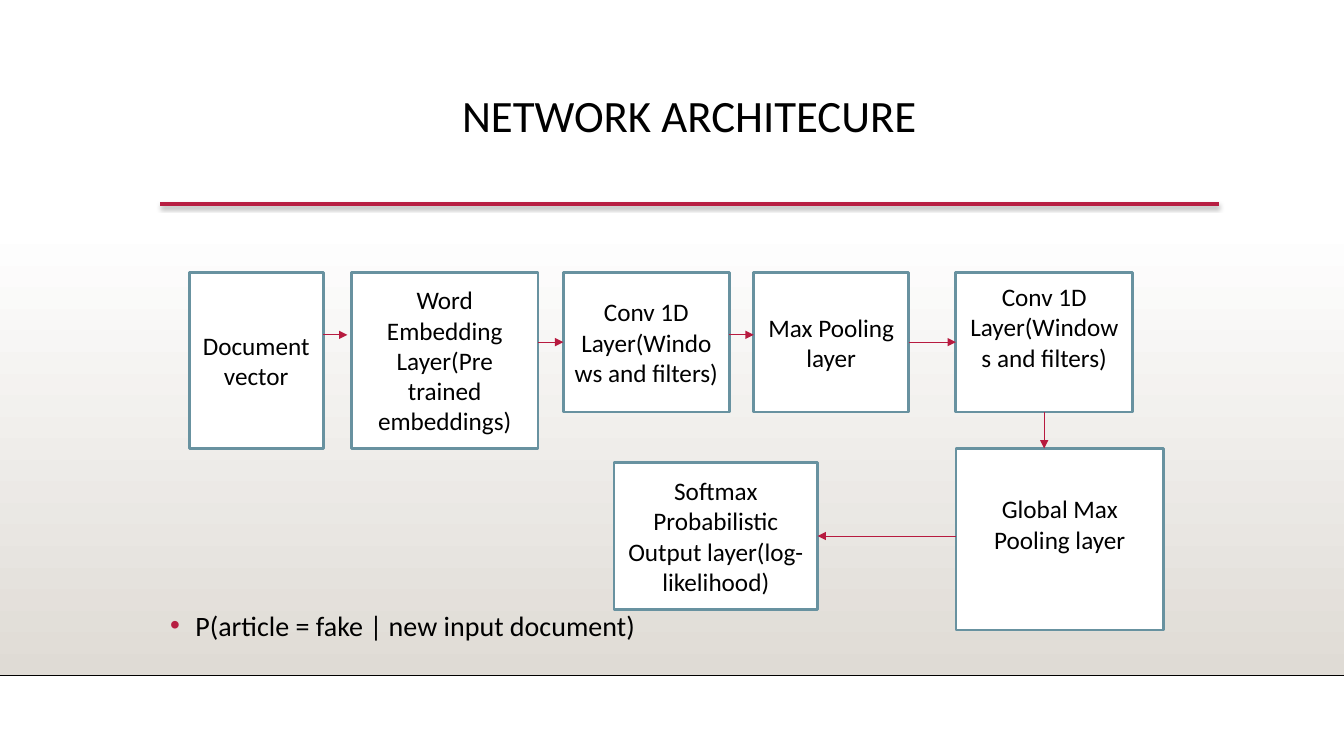
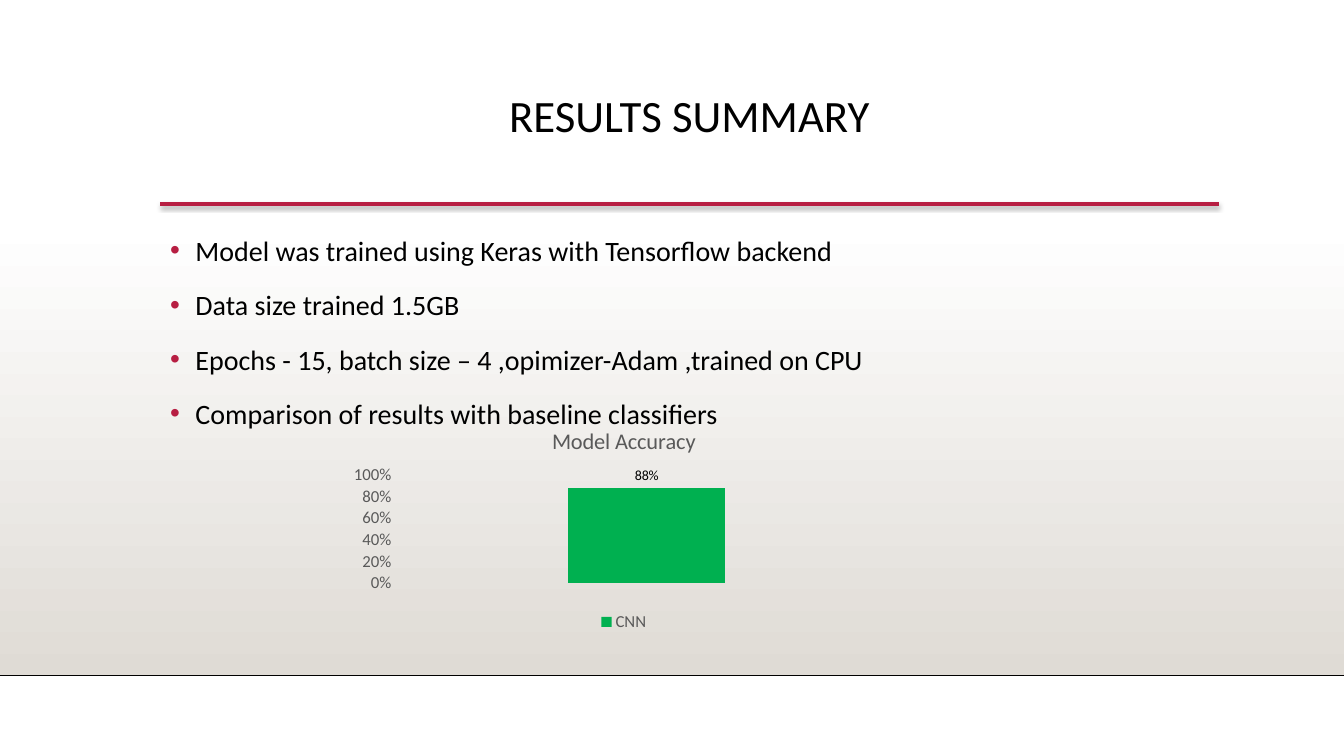
from lxml import etree
from pptx import Presentation
from pptx.chart.data import CategoryChartData
from pptx.dml.color import RGBColor
from pptx.enum import chart as charts, shapes, text
from pptx.oxml import ns
from pptx.util import Pt

# Shared style
COLORS = {"black": "000000", "white": "FFFFFF", "sand": "DFDBD5", "rule": "B71E42",
          "arrow": "B71A3F", "border": "6892A0", "gray": "595959", "bar": "00B050"}
FONT = "Calibri"
WIDTH, HEIGHT = 960, 540
LEFT, CONTENT_WIDTH = 114.5, 756
BAND_TOP, BAND_BOTTOM = 159, 482.4
RULE_Y = 145.6

# Slide 1: boxes are (text, left, top, width, height, extra bottom inset)
ROW = 194.4
BOXES = {
    "document": ("Document vector", 135.2, ROW, 95.6, 126, 0),
    "embedding": ("Word Embedding Layer(Pre trained embeddings)", 251, ROW, 133.4, 126, 0),
    "conv 1": ("Conv 1D Layer(Windows and filters)", 402.4, ROW, 118.6, 100, 0),
    "max pool": ("Max Pooling layer", 538.4, ROW, 110.6, 100, 0),
    "conv 2": ("Conv 1D Layer(Windows and filters)", 682.8, ROW, 126.2, 100, 22),
    "global pool": ("Global Max Pooling layer", 682.8, 320.4, 148.4, 129.6, 22),
    "softmax": ("Softmax Probabilistic Output layer(log-likelihood)", 438.6, 330.4, 145.4, 105, 0),
}
TOP, SIDE_LEFT, BOTTOM, SIDE_RIGHT = range(4)
# Arrows are (start, end, joined start, joined end)
ARROWS = [
    ((230.8, 239.2), (248.2, 239.2), None, None),
    ((384.4, 244.4), (402.4, 244.4), None, ("conv 1", SIDE_LEFT)),
    ((521, 239.2), (538.4, 239.2), None, None),
    ((649, 244.4), (682.8, 244.4), ("max pool", SIDE_RIGHT), ("conv 2", SIDE_LEFT)),
    ((745.9, 294.4), (745.9, 320.4), ("conv 2", BOTTOM), None),
    ((682.8, 382.9), (584, 382.9), None, ("softmax", SIDE_RIGHT)),
]
FORMULA = ["P(article = fake | new input document)"]

# Slide 2
FINDINGS = [
    "Model was trained using Keras with Tensorflow backend",
    "Data size trained 1.5GB",
    "Epochs - 15, batch size – 4 ,opimizer-Adam ,trained on CPU",
    "Comparison of results with baseline classifiers",
]
ACCURACY = {"title": "Model Accuracy", "series": "CNN", "categories": ["1"], "values": [0.88]}
PLOT_AREA = {"x": 0.105, "y": 0.279, "w": 0.869, "h": 0.485}


def rgb(name):
    return RGBColor.from_string(COLORS[name])


def add_xml(parent, tag, **attributes):
    element = etree.SubElement(parent, ns.qn(tag))
    for key, value in attributes.items():
        element.set(key, str(value))
    return element


def set_font(font, size, color):
    font.name, font.size = FONT, Pt(size)
    font.color.rgb = rgb(color)


def write(shape, lines, size=18, color="black", align="LEFT", anchor="TOP",
          spacing=None, before=None, bullet=False, extra_bottom=0):
    frame = shape.text_frame
    frame.word_wrap = True
    frame.vertical_anchor = getattr(text.MSO_ANCHOR, anchor)
    frame.margin_bottom = Pt(3.6 + extra_bottom)
    for index, line in enumerate(lines):
        paragraph = frame.add_paragraph() if index else frame.paragraphs[0]
        paragraph.alignment = getattr(text.PP_ALIGN, align)
        paragraph.line_spacing = spacing
        if before is not None:
            paragraph.space_before = Pt(before)
        run = paragraph.add_run()
        run.text = line
        set_font(run.font, size, color)
        if bullet:
            properties = paragraph._p.get_or_add_pPr()
            properties.set("marL", str(Pt(18)))
            properties.set("indent", str(Pt(-18)))
            add_xml(add_xml(properties, "a:buClr"), "a:srgbClr", val=COLORS["rule"])
            add_xml(properties, "a:buFont", typeface="Arial")
            add_xml(properties, "a:buChar", char="•")


def add_text(slide, lines, left, top, width, height, **style):
    box = slide.shapes.add_textbox(Pt(left), Pt(top), Pt(width), Pt(height))
    write(box, lines, **style)


def add_bullets(slide, lines, top, height):
    add_text(slide, lines, LEFT, top, CONTENT_WIDTH, height,
             size=20, spacing=1.2, before=10, bullet=True)


def add_rectangle(slide, left, top, width, height):
    shape = slide.shapes.add_shape(shapes.MSO_SHAPE.RECTANGLE,
                                   Pt(left), Pt(top), Pt(width), Pt(height))
    shape.shadow.inherit = False
    return shape


def add_line(slide, start, end, color, width, arrow=False, shadow=False):
    line = slide.shapes.add_connector(shapes.MSO_CONNECTOR.STRAIGHT,
                                      *[Pt(value) for value in (*start, *end)])
    line.line.color.rgb = rgb(color)
    line.line.width = Pt(width)
    if arrow:
        add_xml(line.line._get_or_add_ln(), "a:tailEnd", type="triangle")
    effects = add_xml(line._element.spPr, "a:effectLst")
    if shadow:
        outer = add_xml(effects, "a:outerShdw", blurRad=Pt(3.1), dist=Pt(1.8),
                        dir=5400000, rotWithShape=0)
        add_xml(add_xml(outer, "a:srgbClr", val=COLORS["black"]), "a:alpha", val=35000)
    return line


def add_base_slide(presentation, title):
    slide = presentation.slides.add_slide(presentation.slide_layouts[6])
    band = add_rectangle(slide, 0, BAND_TOP, WIDTH, BAND_BOTTOM - BAND_TOP)
    band.line.fill.background()
    band.fill.gradient()
    band.fill.gradient_angle = 270
    for stop, color in zip(band.fill.gradient_stops, ("white", "sand")):
        stop.color.rgb = rgb(color)
    add_line(slide, (0, BAND_BOTTOM), (WIDTH, BAND_BOTTOM), "black", 1)
    add_line(slide, (LEFT, RULE_Y), (LEFT + CONTENT_WIDTH, RULE_Y), "rule", 2.5, shadow=True)
    add_text(slide, [title], LEFT, 63.4, CONTENT_WIDTH, 82.6,
             size=32, align="CENTER", spacing=0.9)
    return slide


def build_architecture(presentation):
    slide = add_base_slide(presentation, "NETWORK ARCHITECURE")
    add_bullets(slide, FORMULA, 426, 40)
    boxes = {}
    for name, (label, left, top, width, height, extra) in BOXES.items():
        box = boxes[name] = add_rectangle(slide, left, top, width, height)
        box.fill.solid()
        box.fill.fore_color.rgb = rgb("white")
        box.line.color.rgb = rgb("border")
        box.line.width = Pt(2)
        write(box, [label], align="CENTER", anchor="MIDDLE", extra_bottom=extra)
    for start, end, source, target in ARROWS:
        arrow = add_line(slide, start, end, "arrow", 0.75, arrow=True)
        if source:
            arrow.begin_connect(boxes[source[0]], source[1])
        if target:
            arrow.end_connect(boxes[target[0]], target[1])


def build_results(presentation):
    slide = add_base_slide(presentation, "RESULTS SUMMARY")
    add_bullets(slide, FINDINGS, 158.4, 271.4)

    # Accuracy chart
    data = CategoryChartData(number_format="0%")
    data.categories = ACCURACY["categories"]
    data.add_series(ACCURACY["series"], ACCURACY["values"])
    chart = slide.shapes.add_chart(charts.XL_CHART_TYPE.COLUMN_CLUSTERED,
                                   Pt(239), Pt(294.5), Pt(413.3), Pt(159.8), data).chart
    set_font(chart.font, 10, "black")
    chart.has_title = True
    chart.chart_title.include_in_layout = False
    title = chart.chart_title.text_frame
    title.text = ACCURACY["title"]
    title_font = title.paragraphs[0].runs[0].font
    set_font(title_font, 16, "gray")
    title_font.bold = False
    chart.has_legend = True
    chart.legend.position = charts.XL_LEGEND_POSITION.BOTTOM
    chart.legend.include_in_layout = False
    set_font(chart.legend.font, 12, "gray")

    # Axes
    chart.category_axis.visible = False
    axis = chart.value_axis
    axis.minimum_scale, axis.maximum_scale, axis.major_unit = 0, 1, 0.2
    axis.has_major_gridlines = False
    axis.major_tick_mark = charts.XL_TICK_MARK.NONE
    axis.format.line.fill.background()
    axis.tick_labels.number_format = "0%"
    axis.tick_labels.number_format_is_linked = False
    set_font(axis.tick_labels.font, 12, "gray")

    # Bar and its label
    plot = chart.plots[0]
    plot.gap_width, plot.overlap, plot.vary_by_categories = 219, -27, False
    fill = plot.series[0].format.fill
    fill.solid()
    fill.fore_color.rgb = rgb("bar")
    plot.has_data_labels = True
    labels = plot.data_labels
    labels.show_value = True
    labels.number_format, labels.number_format_is_linked = "0%", False
    labels.position = charts.XL_LABEL_POSITION.OUTSIDE_END
    set_font(labels.font, 10, "black")

    # Fixed plot area
    plot_area = chart._chartSpace.chart.plotArea
    for old_layout in plot_area.findall(ns.qn("c:layout")):
        plot_area.remove(old_layout)
    layout = etree.Element(ns.qn("c:layout"))
    plot_area.insert(0, layout)
    manual = add_xml(layout, "c:manualLayout")
    add_xml(manual, "c:layoutTarget", val="inner")
    for key in "xy":
        add_xml(manual, f"c:{key}Mode", val="edge")
    for key, value in PLOT_AREA.items():
        add_xml(manual, f"c:{key}", val=value)


def main():
    presentation = Presentation()
    presentation.slide_width, presentation.slide_height = Pt(WIDTH), Pt(HEIGHT)
    build_architecture(presentation)
    build_results(presentation)
    presentation.save("out.pptx")


if __name__ == "__main__":
    main()
